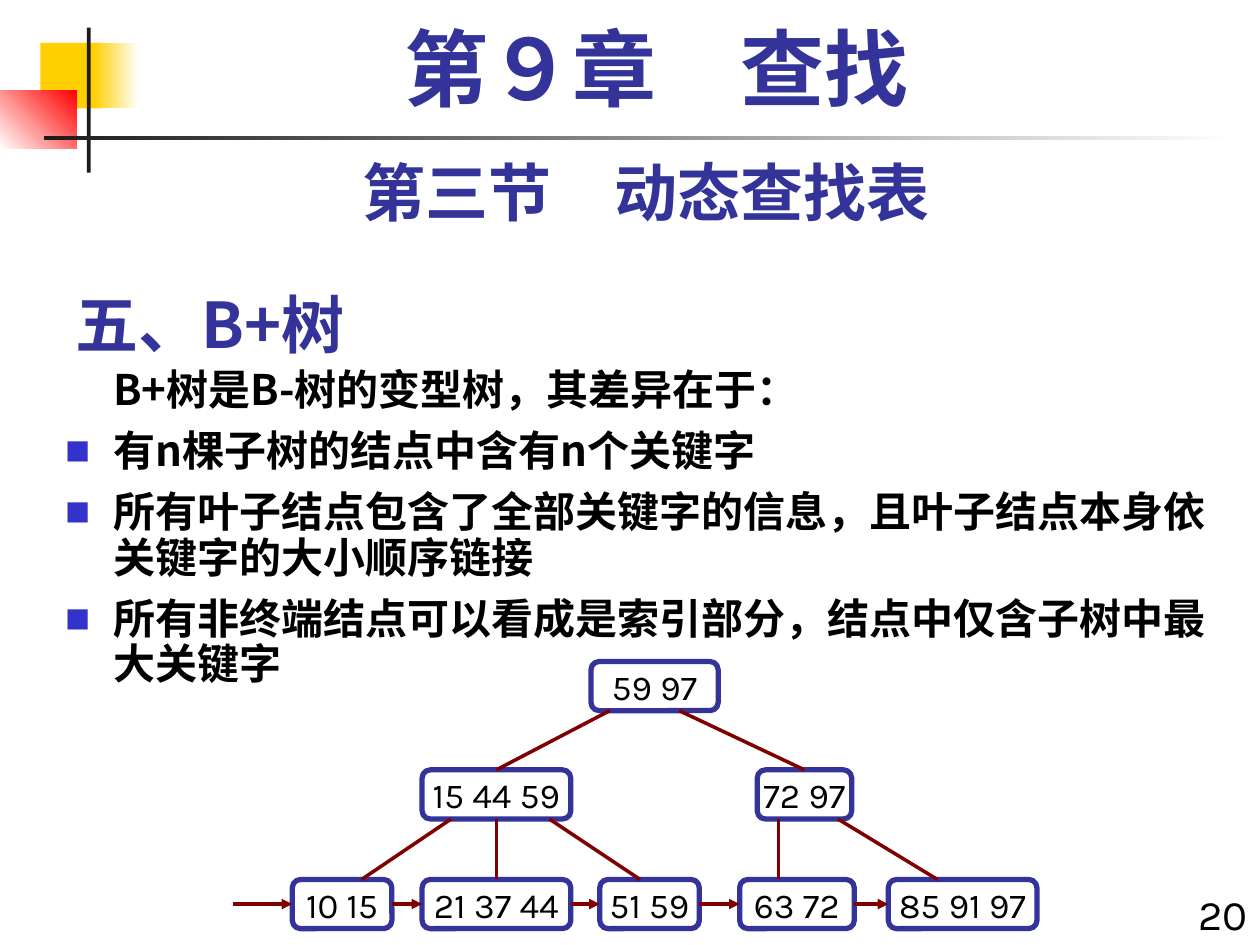
from lxml.etree import SubElement
from pptx import Presentation
from pptx.dml.color import RGBColor
from pptx.enum.shapes import MSO_CONNECTOR as Connector, MSO_SHAPE as Shape
from pptx.enum.text import MSO_ANCHOR as Anchor, MSO_AUTO_SIZE as AutoSize, PP_ALIGN as Align
from pptx.oxml.ns import qn
from pptx.util import Inches, Pt

COLORS = {
    "navy": "333399", "bullet": "3333CC", "black": "000000", "maroon": "800000",
    "ink": "1C1C1C", "yellow": "FFCF01", "red": "FF0000", "white": "FFFFFF",
}
CJK, LATIN, SERIF = "Noto Sans CJK SC", "Karla", "Times New Roman"

CHAPTER = "第９章　查找"
SECTION = "第三节　动态查找表"
TOPIC = "五、B+树"
INTRO = "B+树是B-树的变型树，其差异在于："
DIFFERENCES = [
    "有n棵子树的结点中含有n个关键字",
    "所有叶子结点包含了全部关键字的信息，且叶子结点本身依关键字的大小顺序链接",
    "所有非终端结点可以看成是索引部分，结点中仅含子树中最大关键字",
]
PAGE = "20"

DECORATIONS = [
    ((0.32, 0.34, 0.48, 0.52), ["yellow"], 0),
    ((0.74, 0.34, 0.36, 0.52), ["yellow", "white"], 0),
    ((0, 0.72, 0.61, 0.46), ["white", "red"], 45),
    ((0.69, 0.22, 0.03, 1.15), ["ink"], 0),
    ((0.35, 1.08, 9.45, 0.03), ["ink", "white"], 0),
]

NODE_HEIGHT = 0.39
LEVELS = [
    (5.25, [("59 97", 4.69, 1.01)]),
    (6.11, [("15 44 59", 3.35, 1.18), ("72 97", 6.01, 0.75)]),
    (6.98, [("10 15", 2.32, 0.79), ("21 37 44", 3.35, 1.18), ("51 59", 4.76, 0.79),
            ("63 72", 5.87, 0.91), ("85 91 97", 7.05, 1.18)]),
]
# parent level, start x, end x, parent joined at its middle, child joined at its middle
BRANCHES = [
    (0, 4.84, 3.9, None, (1, 0)),
    (0, 5.39, 6.36, None, (1, 1)),
    (1, 3.58, 2.87, None, None),
    (1, 3.98, 3.98, (1, 0), (2, 1)),
    (1, 4.36, 5.08, None, None),
    (1, 6.18, 6.18, None, None),
    (1, 6.65, 7.44, None, None),
]
CHAIN_START = 1.85
TOP, LEFT, BOTTOM, RIGHT = range(4)


def rgb(name):
    return RGBColor.from_string(COLORS[name])


def write(paragraph, text, size, font=CJK, color="black", bold=False, align=Align.LEFT,
          spacing=1.0, before=0, indent=None, hanging=0, bullet=None):
    """Fill one paragraph with a formatted run."""
    properties = paragraph._p.get_or_add_pPr()
    paragraph.alignment = align
    paragraph.line_spacing = spacing
    paragraph.space_before = Pt(before)
    if indent is not None:
        properties.set("marL", str(Inches(indent)))
        properties.set("indent", str(-Inches(hanging)))
    if bullet:
        bullet_color = SubElement(properties, qn("a:buClr"))
        SubElement(bullet_color, qn("a:srgbClr"), val=COLORS["bullet"])
        SubElement(properties, qn("a:buSzPct"), val="60000")
        SubElement(properties, qn("a:buFont"), typeface=CJK)
        SubElement(properties, qn("a:buChar"), char=bullet)
    else:
        SubElement(properties, qn("a:buNone"))
    run = paragraph.add_run()
    run.text = text
    run.font.size, run.font.bold, run.font.name = Pt(size), bold, font
    run.font.color.rgb = rgb(color)
    SubElement(run._r.get_or_add_rPr(), qn("a:ea"), typeface=CJK)


def place(placeholder, left, top, width, height, anchor):
    """Move a placeholder and return its text frame."""
    placeholder.left, placeholder.top = Inches(left), Inches(top)
    placeholder.width, placeholder.height = Inches(width), Inches(height)
    frame = placeholder.text_frame
    frame.auto_size, frame.vertical_anchor = AutoSize.NONE, anchor
    return frame


def add_label(slide, box, text, **style):
    """Add a wrapping one-paragraph text box."""
    frame = slide.shapes.add_textbox(*map(Inches, box)).text_frame
    frame.word_wrap = True
    write(frame.paragraphs[0], text, **style)


def add_decoration(slide, box, colors, angle):
    """Add a borderless block in one colour or a two-colour gradient."""
    block = slide.shapes.add_shape(Shape.RECTANGLE, *map(Inches, box))
    block.shadow.inherit = False
    block.line.fill.background()
    if len(colors) == 1:
        block.fill.solid()
        block.fill.fore_color.rgb = rgb(colors[0])
        return
    block.fill.gradient()
    block.fill.gradient_angle = angle
    for stop, color in zip(block.fill.gradient_stops, colors):
        stop.color.rgb = rgb(color)


def add_node(slide, keys, left, top, width):
    """Add a tree node holding its keys."""
    node = slide.shapes.add_shape(
        Shape.ROUNDED_RECTANGLE, *map(Inches, (left, top, width, NODE_HEIGHT)))
    node.shadow.inherit = False
    node.fill.background()
    node.line.color.rgb, node.line.width = rgb("navy"), Pt(3)
    node.text_frame.word_wrap = False
    node.text_frame.vertical_anchor = Anchor.MIDDLE
    write(node.text_frame.paragraphs[0], keys, 20, font=LATIN, align=Align.CENTER)
    return node


def add_link(slide, start, end, arrow=False):
    """Add a tree link, with an arrowhead if it belongs to the leaf chain."""
    link = slide.shapes.add_connector(Connector.STRAIGHT, *map(Inches, start + end))
    link.line.color.rgb, link.line.width = rgb("maroon"), Pt(2)
    if arrow:
        SubElement(link.line._get_or_add_ln(), qn("a:tailEnd"), type="triangle")
    SubElement(link._element.spPr, qn("a:effectLst"))
    return link


def add_tree(slide):
    """Draw the nodes, the branches and the chain of leaves."""
    nodes = [[add_node(slide, keys, left, top, width) for keys, left, width in level]
             for top, level in LEVELS]
    for level, start_x, end_x, parent, child in BRANCHES:
        link = add_link(slide, (start_x, LEVELS[level][0] + NODE_HEIGHT),
                        (end_x, LEVELS[level + 1][0]))
        if parent:
            link.begin_connect(nodes[parent[0]][parent[1]], BOTTOM)
        if child:
            link.end_connect(nodes[child[0]][child[1]], TOP)
    leaf_top, leaves = LEVELS[-1]
    middle = leaf_top + NODE_HEIGHT / 2
    previous, previous_right = None, CHAIN_START
    for leaf, (_, left, width) in zip(nodes[-1], leaves):
        link = add_link(slide, (previous_right, middle), (left, middle), arrow=True)
        if previous:
            link.begin_connect(previous, RIGHT)
        link.end_connect(leaf, LEFT)
        previous, previous_right = leaf, left + width


def main():
    """Build the B+ tree slide."""
    deck = Presentation()
    deck.slide_width, deck.slide_height = Inches(10), Inches(7.5)
    slide = deck.slides.add_slide(deck.slide_layouts[1])
    for decoration in DECORATIONS:
        add_decoration(slide, *decoration)

    topic = place(slide.shapes.title, 0.5, 2.17, 6.83, 0.75, Anchor.BOTTOM)
    write(topic.paragraphs[0], TOPIC, 36, color="navy", bold=True)
    body = place(slide.placeholders[1], 0.42, 2.88, 9.58, 4.62, Anchor.TOP)
    write(body.paragraphs[0], INTRO, 24, bold=True, spacing=0.9, indent=0.38)
    for difference in DIFFERENCES:
        write(body.add_paragraph(), difference, 24, bold=True, spacing=0.9, before=9,
              indent=0.38, hanging=0.38, bullet="■")

    heading = {"color": "navy", "bold": True, "align": Align.CENTER}
    add_label(slide, (0.5, 1.17, 9.25, 0.7), SECTION, size=36, font=LATIN, **heading)
    add_label(slide, (0.67, 0.17, 9.08, 0.83), CHAPTER, size=48, font=SERIF,
              spacing=0.9, **heading)
    add_label(slide, (9.33, 7, 0.67, 0.5), PAGE, size=24, font=LATIN, align=Align.RIGHT)
    add_tree(slide)
    deck.save("out.pptx")


if __name__ == "__main__":
    main()
